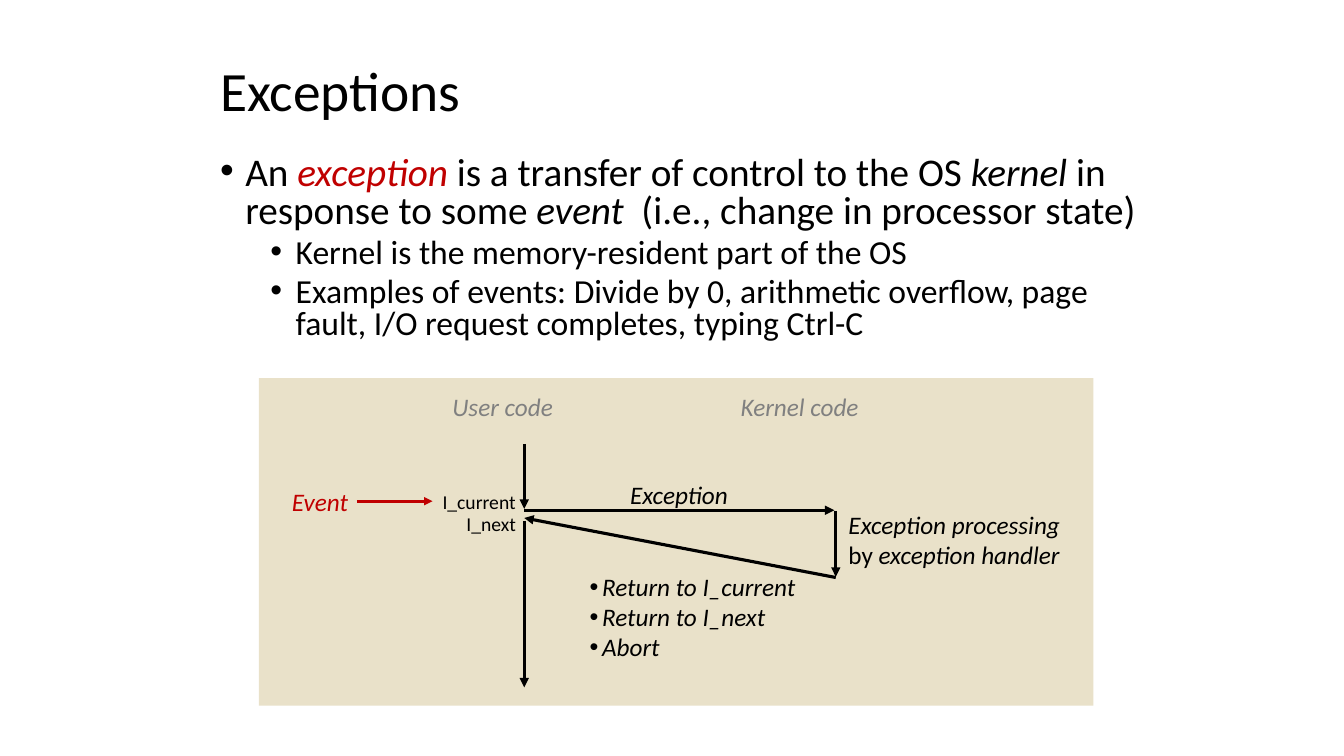
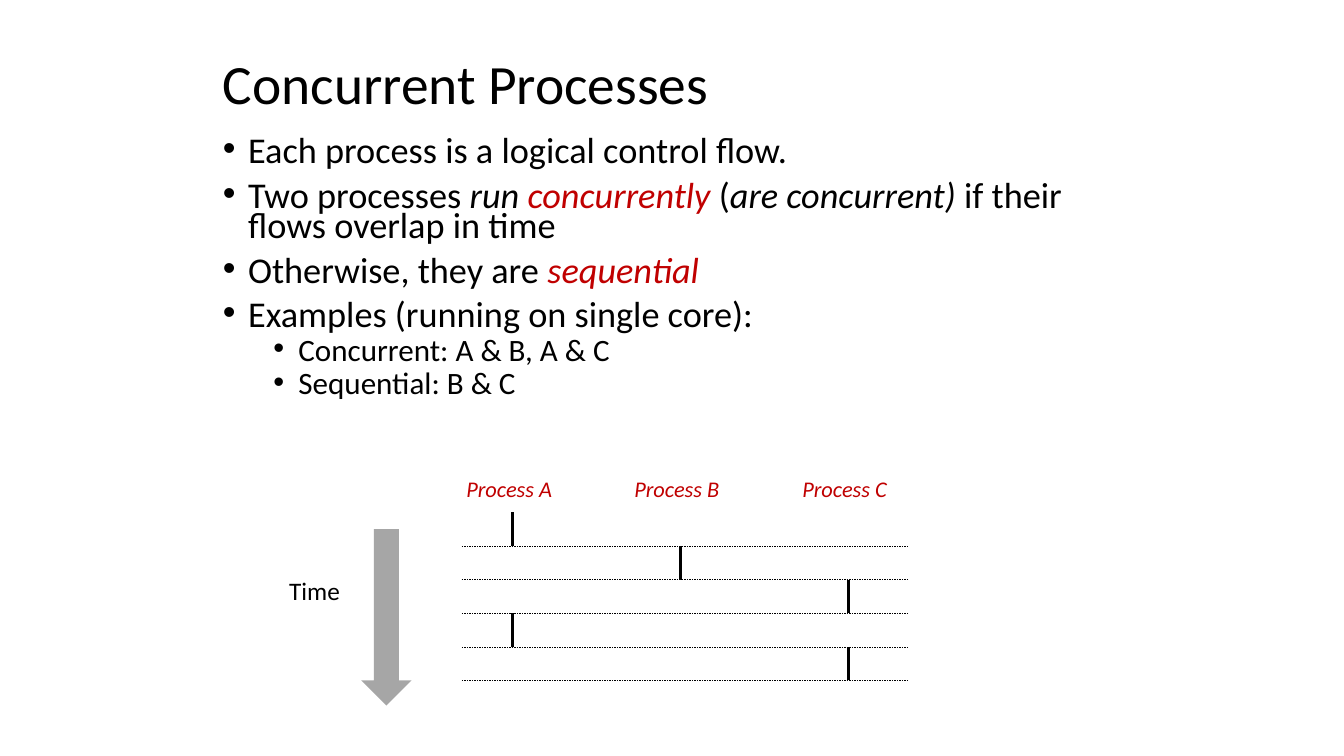
"""Builds two slides on exceptions and concurrent processes."""
import dataclasses
import typing

import lxml.etree
import pptx
import pptx.dml.color
import pptx.enum.dml
import pptx.enum.shapes
import pptx.enum.text
import pptx.oxml.ns
import pptx.util

Pt = pptx.util.Pt
qn = pptx.oxml.ns.qn
Fit = pptx.enum.text.MSO_AUTO_SIZE
Anchor = pptx.enum.text.MSO_ANCHOR
Kind = pptx.enum.shapes.MSO_SHAPE


@dataclasses.dataclass(frozen=True)
class Theme:
    font: str = "Calibri"
    black: str = "000000"
    red: str = "C00000"
    gray: str = "808080"
    arrow: str = "A6A6A6"
    sand: str = "E9E1C9"
    title: float = 39.6
    label: float = 18
    name: float = 16
    code: float = 14
    thick: float = 2.25
    mid: float = 2
    thin: float = 0.25


THEME = Theme()


def rgb(code):
    return pptx.dml.color.RGBColor.from_string(code)


def write(par, text, size=THEME.label, color=THEME.black, italic=False,
          level=0, lead=None, before=None, bullet=None):
    par.level = level
    par.alignment = pptx.enum.text.PP_ALIGN.LEFT
    if lead:
        par.line_spacing = lead
    if before is not None:
        par.space_before = Pt(before)
    if bullet:
        props = par._p.get_or_add_pPr()
        props.set("marL", str(Pt(bullet + 36 * level)))
        props.set("indent", str(Pt(-bullet)))
        lxml.etree.SubElement(props, qn("a:buFont"), typeface="Arial")
        lxml.etree.SubElement(props, qn("a:buChar"), char="•")
    for pos, part in enumerate(text.split("*")):
        if not part:
            continue
        run = par.add_run()
        run.text = part.lstrip("^")
        run.font.name = THEME.font
        run.font.size = Pt(size)
        run.font.italic = italic != bool(pos % 2)
        run.font.color.rgb = rgb(THEME.red if part[0] == "^" else color)


def fill(frame, lines, **fmt):
    for pos, line in enumerate(lines):
        par = frame.add_paragraph() if pos else frame.paragraphs[0]
        write(par, line, **fmt)


@dataclasses.dataclass
class Deck:
    pres: typing.Any
    slide: typing.Any = None

    def start(self, title, box, anchor):
        self.slide = self.pres.slides.add_slide(self.pres.slide_layouts[1])
        frame = self.place(self.slide.shapes.title, box)
        frame.vertical_anchor = anchor
        write(frame.paragraphs[0], title, size=THEME.title, lead=0.9)

    def place(self, shape, box):
        shape.left, shape.top, shape.width, shape.height = map(Pt, box)
        frame = shape.text_frame
        frame.word_wrap = True
        frame.auto_size = Fit.NONE
        return frame

    def body(self, box, items, sizes, lead):
        frame = self.place(self.slide.placeholders[1], box)
        for pos, (level, text) in enumerate(items):
            par = frame.add_paragraph() if pos else frame.paragraphs[0]
            write(par, text, size=sizes[level], level=level, lead=lead,
                  before=(10, 5)[level], bullet=18)

    def label(self, box, *lines, wrap=False, **fmt):
        frame = self.slide.shapes.add_textbox(*map(Pt, box)).text_frame
        frame.word_wrap = wrap
        frame.auto_size = Fit.SHAPE_TO_FIT_TEXT
        fill(frame, lines, **fmt)

    def shape(self, kind, box, color):
        shape = self.slide.shapes.add_shape(kind, *map(Pt, box))
        shape.shadow.inherit = False
        shape.fill.solid()
        shape.fill.fore_color.rgb = rgb(color)
        shape.line.fill.background()

    def line(self, ends, color=THEME.black, width=THEME.thick,
             head=False, dash=False):
        line = self.slide.shapes.add_connector(
            pptx.enum.shapes.MSO_CONNECTOR.STRAIGHT, *map(Pt, ends))
        line.line.color.rgb = rgb(color)
        line.line.width = Pt(width)
        if dash:
            line.line.dash_style = pptx.enum.dml.MSO_LINE.DASH
        props = line._element.spPr
        if head:
            lxml.etree.SubElement(props.find(qn("a:ln")), qn("a:tailEnd"),
                                  type="triangle")
        lxml.etree.SubElement(props, qn("a:effectLst"))


def traps(deck):
    deck.start("Exceptions", (150, 42, 264, 45), Anchor.TOP)
    deck.shape(Kind.RECTANGLE, (185, 270, 596, 234), THEME.sand)
    deck.body((150, 108, 684, 150), [
        (0, "An *^exception* is a transfer of control to the OS *kernel* in "
            "response to some *event*  (i.e., change in processor state)"),
        (1, "Kernel is the memory-resident part of the OS"),
        (1, "Examples of events: Divide by 0, arithmetic overflow, page "
            "fault, I/O request completes, typing Ctrl-C"),
    ], sizes=(28, 24), lead=0.8)

    for left, wide, text in ((316, 87, "User code"), (522, 99, "Kernel code")):
        deck.label((left, 276, wide, 29), text, color=THEME.gray, italic=True)

    user, kern = 374.5, 597
    for ends in ((user, 317, user, 363.5), (user, 364.5, kern - 1, 364.5),
                 (kern, 365, kern, 412), (kern, 412.5, user, 370),
                 (user, 372, user, 491)):
        deck.line(ends, head=True)
    deck.line((255, 358, 309, 358), color=THEME.red, width=THEME.mid,
              head=True)

    deck.label((443, 338.5, 85, 29), "Exception", italic=True)
    deck.label((599, 360, 169, 51), "*Exception processing*",
               "by *exception handler*", wrap=True)
    deck.label((414, 404.5, 165, 73), "Return to I_current",
               "Return to I_next", "Abort", italic=True, bullet=9)
    deck.label((201.5, 343.5, 63.5, 29), "Event", wrap=True,
               color=THEME.red, italic=True)
    deck.label((309, 346.5, 68, 24), "I_current", size=THEME.code)
    deck.label((326, 362, 51, 24), "I_next", size=THEME.code)


def flows(deck):
    deck.start("Concurrent Processes", (152, 39, 478, 45), Anchor.MIDDLE)
    deck.body((152, 96, 622, 204), [
        (0, "Each process is a logical control flow."),
        (0, "Two processes *run **^concurrently* (*are concurrent)* if their "
            "flows overlap in time"),
        (0, "Otherwise, they are *^sequential*"),
        (0, "Examples (running on single core):"),
        (1, "Concurrent: A & B, A & C"),
        (1, "Sequential: B & C"),
    ], sizes=(25.9, 22.2), lead=0.7)

    top, step = 366, 24
    cols = {name: 366 + 120 * pos for pos, name in enumerate("ABC")}
    for name, mid in cols.items():
        deck.label((mid - 40, 336, 78, 27), f"Process {name}",
                   size=THEME.name, color=THEME.red, italic=True)
    for row, name in enumerate("ABCAC"):
        high = top + row * step
        low = high + step
        deck.line((cols[name], high, cols[name], low), width=THEME.mid)
        deck.line((330, low, 648, low), width=THEME.thin, dash=True)

    deck.label((199.5, 407.5, 64, 29), "Time", wrap=True)
    deck.shape(Kind.DOWN_ARROW, (258, 378, 36, 126), THEME.arrow)


def main():
    pres = pptx.Presentation()
    pres.slide_width, pres.slide_height = Pt(960), Pt(540)
    deck = Deck(pres)
    traps(deck)
    flows(deck)
    pres.save("out.pptx")


if __name__ == "__main__":
    main()
